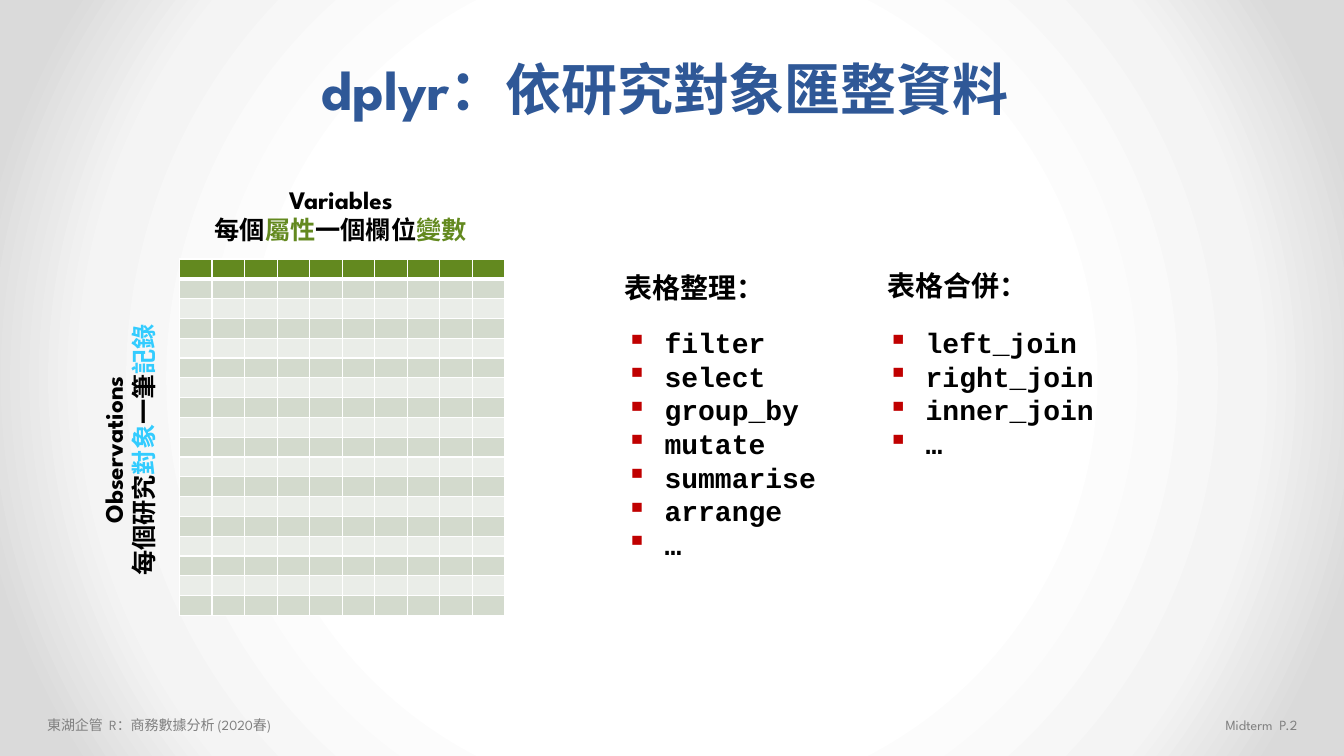
from collections import namedtuple
from lxml.etree import SubElement
from pptx import Presentation
from pptx.dml.color import RGBColor
from pptx.enum.text import MSO_ANCHOR, PP_ALIGN
from pptx.oxml import parse_xml
from pptx.oxml.ns import nsdecls, qn
from pptx.util import Pt

Box = namedtuple("Box", "left top width height")

BLUE = RGBColor(0x2F, 0x58, 0x97)
GREEN = RGBColor(0x63, 0x89, 0x1F)
SKY = RGBColor(0x33, 0xCC, 0xFF)
RED = RGBColor(0xC0, 0x00, 0x00)
GRAY = RGBColor(0x80, 0x80, 0x80)
BLACK = RGBColor(0x00, 0x00, 0x00)
WHITE = RGBColor(0xFF, 0xFF, 0xFF)
BAND_DARK = RGBColor(0xD3, 0xDA, 0xCD)
BAND_LIGHT = RGBColor(0xEA, 0xED, 0xE8)
BACKDROP = ((50, WHITE), (76, RGBColor(0xF4, 0xF4, 0xF4)), (92, RGBColor(0xDA, 0xDA, 0xDA)))

DISPLAY, CODE, PLAIN = "League Spartan", "Courier New", "Arial"
ROWS, COLUMNS = 18, 10
BULLET_INDENT = Pt(27)


def add_backdrop(page):
    """Fill the page with a radial gradient."""
    stops = "".join(
        f'<a:gs pos="{place * 1000}"><a:srgbClr val="{color}"/></a:gs>' for place, color in BACKDROP
    )
    page.element.cSld.insert(0, parse_xml(
        f'<p:bg {nsdecls("p", "a")}><p:bgPr><a:gradFill rotWithShape="1"><a:gsLst>{stops}</a:gsLst>'
        '<a:path path="circle"><a:fillToRect l="50000" t="50000" r="50000" b="50000"/></a:path>'
        '</a:gradFill><a:effectLst/></p:bgPr></p:bg>'
    ))


def add_text(page, box, lines, size, font=DISPLAY, color=BLACK, bold=True,
             align=PP_ALIGN.LEFT, anchor=MSO_ANCHOR.TOP, wrap=True):
    """Add a text box whose lines are lists of (text, color) spans."""
    shape = page.shapes.add_textbox(*map(Pt, box))
    frame = shape.text_frame
    frame.word_wrap = wrap
    frame.vertical_anchor = anchor
    for index, line in enumerate(lines):
        para = frame.add_paragraph() if index else frame.paragraphs[0]
        para.alignment = align
        para.font.name, para.font.size, para.font.bold = font, Pt(size), bold
        para.font.color.rgb = color
        for text, accent in line:
            span = para.add_run()
            span.text = text
            if accent is not None:
                span.font.color.rgb = accent
    return shape


def add_title(page, box):
    """Add the centred title, its Chinese part in a plain font."""
    title = add_text(page, box, [[("dplyr：", None), ("依研究對象匯整資料", None)]], 40,
                     color=BLUE, align=PP_ALIGN.CENTER, anchor=MSO_ANCHOR.MIDDLE)
    title.text_frame.paragraphs[0].runs[1].font.name = PLAIN


def add_footer(page, box):
    """Add the course name at the left and the page number at the right."""
    for text, align in (("東湖企管  R：商務數據分析 (2020春) ", PP_ALIGN.LEFT),
                        ("Midterm  P.2", PP_ALIGN.RIGHT)):
        add_text(page, box, [[(text, None)]], 10, color=GRAY, bold=False, align=align)


def style_cell(cell, color, top, bottom):
    """Give a table cell its fill, white borders and tiny empty text."""
    properties = cell._tc.get_or_add_tcPr()
    for side, width in (("L", 1), ("R", 1), ("T", top), ("B", bottom)):
        line = SubElement(properties, qn(f"a:ln{side}"), w=str(Pt(width)))
        SubElement(SubElement(line, qn("a:solidFill")), qn("a:srgbClr"), val=str(WHITE))
    cell.fill.solid()
    cell.fill.fore_color.rgb = color
    cell.margin_left = cell.margin_right = cell.margin_top = cell.margin_bottom = 0
    SubElement(cell.text_frame.paragraphs[0]._p, qn("a:endParaRPr"), sz="600")


def add_data_grid(page, box):
    """Add the empty data table with a green header and banded rows."""
    grid = page.shapes.add_table(ROWS, COLUMNS, *map(Pt, box)).table
    for column in grid.columns:
        column.width = Pt(box.width / COLUMNS)
    for index, row in enumerate(grid.rows):
        row.height = Pt(box.height / ROWS)
        color = GREEN if index == 0 else BAND_DARK if index % 2 else BAND_LIGHT
        for cell in row.cells:
            style_cell(cell, color, 3 if index == 1 else 1, 3 if index == 0 else 1)


def add_data_table(page, box):
    """Add the grid with its variables label above and observations label at its left."""
    add_data_grid(page, box)
    variables = [[("Variables", None)],
                 [("每個", None), ("屬性", GREEN), ("一個欄位", None), ("變數", GREEN)]]
    observations = [[("Observations", None)],
                    [("每個研究", None), ("對象", SKY), ("一筆", None), ("記錄", SKY)]]
    add_text(page, Box(box.left, box.top - 57, 230.4, 51), variables, 18, align=PP_ALIGN.CENTER)
    side = add_text(page, Box(box.left - 155.6, box.top + 110.9, 238.3, 51), observations, 18,
                    align=PP_ALIGN.CENTER)
    side.rotation = 270


def add_verb_list(page, box, heading, heading_offset, verbs):
    """Add a heading and a red-bulleted list of functions below it."""
    left, rise = heading_offset
    add_text(page, Box(box.left + left, box.top - rise, 115.2, 31.5), [[(heading, None)]], 20,
             wrap=False)
    listing = add_text(page, box, [[(verb, None)] for verb in verbs], 20, font=CODE)
    for para in listing.text_frame.paragraphs:
        properties = para._p.get_or_add_pPr()
        properties.set("marL", str(BULLET_INDENT))
        properties.set("indent", str(-BULLET_INDENT))
        bullet = parse_xml(f'<a:buClr {nsdecls("a")}><a:srgbClr val="{RED}"/></a:buClr>')
        mark = parse_xml(f'<a:buChar {nsdecls("a")} char="▪"/>')
        properties.find(qn("a:defRPr")).addprevious(bullet)
        bullet.addnext(mark)


def build_deck():
    """Build the one-page deck and save it."""
    deck = Presentation()
    deck.slide_width, deck.slide_height = Pt(960), Pt(540)
    page = deck.slides.add_slide(deck.slide_layouts[6])
    add_backdrop(page)
    add_footer(page, Box(26.6, 508.3, 907.2, 19.4))
    add_title(page, Box(43.2, 31.7, 864, 62.6))
    add_data_table(page, Box(128.2, 185, 232.6, 254.9))
    add_verb_list(page, Box(440.6, 229, 203.8, 177), "表格整理：", (-1.4, 39),
                  ("filter", "select", "group_by", "mutate", "summarise", "arrange", "…"))
    add_verb_list(page, Box(627.1, 229, 203.8, 104.4), "表格合併：", (0, 41),
                  ("left_join", "right_join", "inner_join", "…"))
    deck.save("out.pptx")


build_deck()
